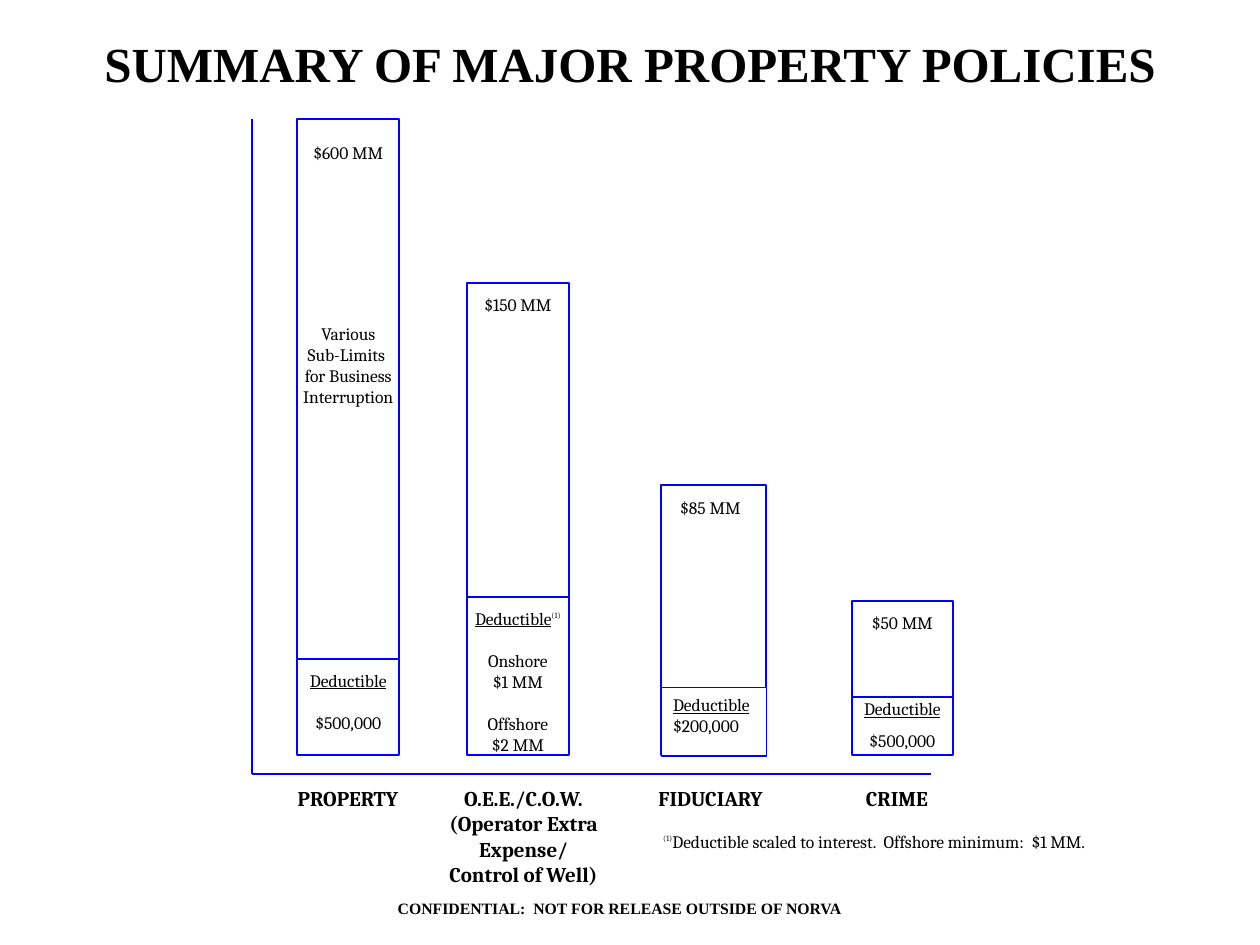
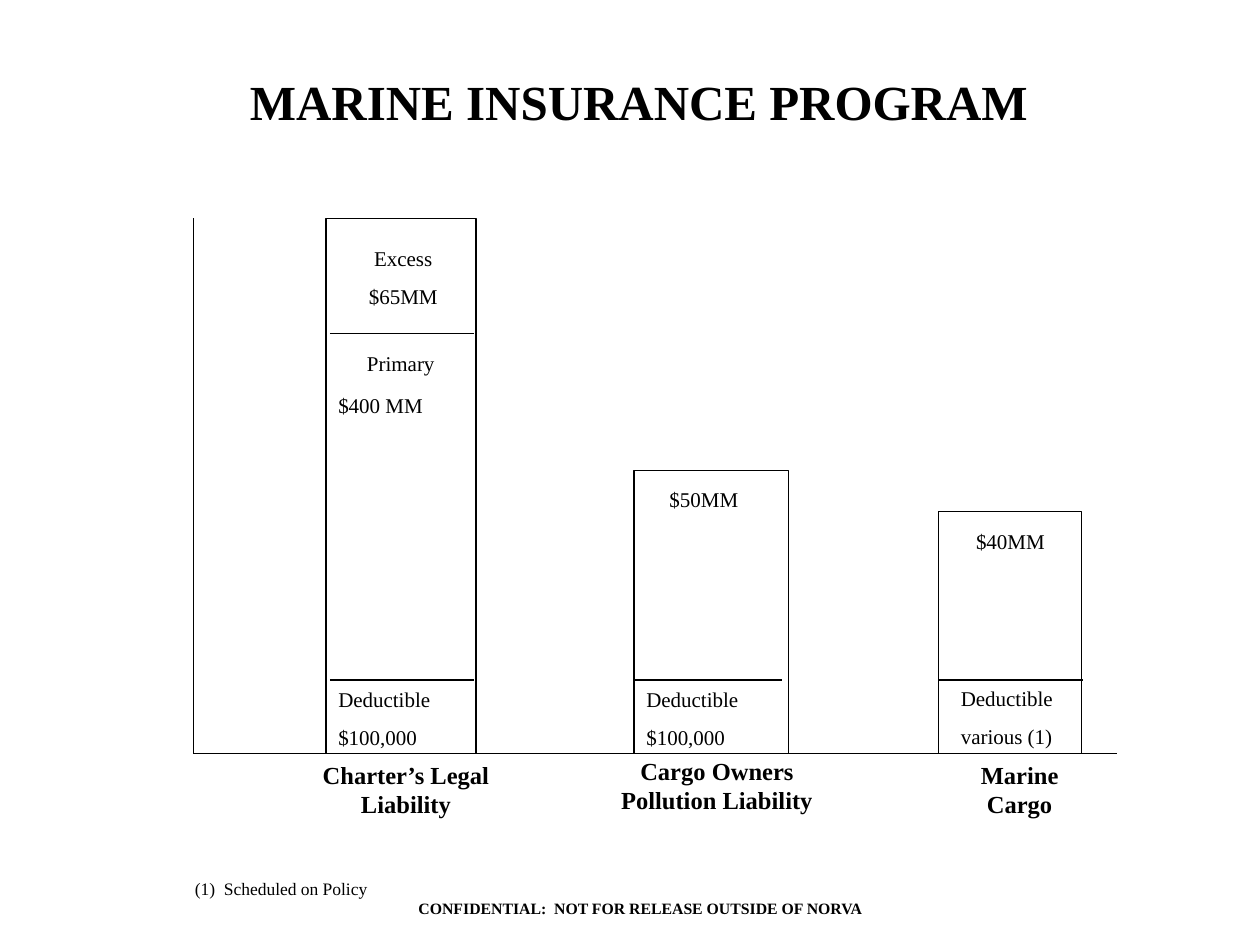
from lxml import etree
from pptx import Presentation
from pptx import util as u
from pptx.dml.color import RGBColor
from pptx.enum import shapes, text
from pptx.oxml import ns

COLORS = {"ink": "000000", "paper": "FFFFFF", "blue": "0000FF"}
SERIF, ROMAN = "Cambria", "Times New Roman"
LEFT, CENTER = text.PP_ALIGN.LEFT, text.PP_ALIGN.CENTER
FOOTER = "CONFIDENTIAL:  NOT FOR RELEASE OUTSIDE OF NORVA"


def write(slide, paragraphs, left, top, width, height=0.8, size=10, font=SERIF, bold=False,
          align=CENTER, anchor=text.MSO_ANCHOR.TOP, inset=(0.03, 0.03), gaps={},
          underline_first=False, superscript="\0"):
    frame = slide.shapes.add_textbox(*map(u.Cm, (left, top, width, height))).text_frame
    frame.word_wrap = True
    frame.vertical_anchor = anchor
    frame.margin_left = frame.margin_right = u.Cm(inset[0])
    frame.margin_top = frame.margin_bottom = u.Cm(inset[1])
    for index, content in enumerate(paragraphs):
        paragraph = frame.paragraphs[0] if index == 0 else frame.add_paragraph()
        paragraph.alignment = align
        paragraph.space_before = u.Pt(gaps.get(index, 0))
        for piece in filter(None, content.partition(superscript)):
            run = paragraph.add_run()
            run.text = piece
            run.font.name = font
            run.font.size = u.Pt(size)
            run.font.bold = bold
            run.font.color.rgb = RGBColor.from_string(COLORS["ink"])
            if piece == superscript:
                run.font.size = u.Pt(8)
                run.font._element.set("baseline", "50000")
            elif underline_first and index == 0:
                run.font.underline = True


def rule(slide, x1, y1, x2, y2, color, weight):
    line = slide.shapes.add_connector(shapes.MSO_CONNECTOR.STRAIGHT, *map(u.Cm, (x1, y1, x2, y2)))
    line.line.color.rgb = RGBColor.from_string(color)
    line.line.width = u.Pt(weight)
    etree.SubElement(line._element.spPr, ns.qn("a:effectLst"))


property_program = dict(
    title="SUMMARY OF MAJOR PROPERTY POLICIES", title_box=(0, 0, 25.4, 2.54),
    color=COLORS["blue"], weight=1, axis=(5.08, 2.39, 18.77, 15.6), footer_left=4.23,
    bars=[(5.99, 2.4, 2.06, 15.22, 1), (9.41, 5.7, 2.06, 15.22, 1),
          (13.32, 9.78, 2.13, 15.22, 1), (17.17, 12.12, 2.05, 15.22, 1),
          (13.33, 13.86, 2.13, 15.24, 0.75)],
    dividers=[(5.99, 8.05, 13.28), (9.42, 11.48, 12.04), (17.17, 19.23, 14.05)],
)
marine_program = dict(
    title="MARINE INSURANCE PROGRAM", title_box=(2.08, 0.08, 21.59, 3.91),
    color=COLORS["ink"], weight=0.75, axis=(3.9, 4.39, 22.52, 15.19), footer_left=4.65,
    bars=[(6.57, 4.4, 3.03, 15.19, 0.75), (12.78, 9.48, 3.11, 15.19, 0.75),
          (18.92, 10.31, 2.89, 15.19, 0.75)],
    dividers=[(6.65, 9.55, 6.72), (6.65, 9.55, 13.71), (12.78, 15.77, 13.71),
              (18.92, 21.84, 13.71)],
)

deck = Presentation()
deck.slide_width, deck.slide_height = u.Cm(25.4), u.Cm(19.05)
padded = dict(inset=(0.25, 0.13), font=ROMAN)
slides = []

for program in (property_program, marine_program):
    slide = deck.slides.add_slide(deck.slide_layouts[6])
    slides.append(slide)
    color, weight = program["color"], program["weight"]
    write(slide, [program["title"]], *program["title_box"], size=28, bold=True,
          anchor=text.MSO_ANCHOR.MIDDLE, **padded)
    for left, top, width, bottom, outline in program["bars"]:
        bar = slide.shapes.add_shape(shapes.MSO_SHAPE.RECTANGLE,
                                     *map(u.Cm, (left, top, width, bottom - top)))
        bar.shadow.inherit = False
        bar.fill.solid()
        bar.fill.fore_color.rgb = RGBColor.from_string(COLORS["paper"])
        bar.line.color.rgb = RGBColor.from_string(color)
        bar.line.width = u.Pt(outline)
    axis_x, axis_top, axis_right, axis_y = program["axis"]
    rule(slide, axis_x, axis_y, axis_x, axis_top, color, weight)
    rule(slide, axis_x, axis_y, axis_right, axis_y, color, weight)
    for start, end, y in program["dividers"]:
        rule(slide, start, y, end, y, color, weight)
    write(slide, [FOOTER], program["footer_left"], 17.98, 16.51, 0.64, size=9, bold=True, **padded)

policies, marine = slides

for limit, left, top in [("$600 MM", 5.99, 2.84), ("$150 MM", 9.41, 5.89),
                         ("$85 MM", 13.29, 9.98), ("$50 MM", 17.16, 12.31)]:
    write(policies, [limit], left, top, 2.06)

write(policies, ["Various", "Sub-Limits ", "for Business Interruption"], 5.99, 6.48, 2.06, 4.85)

for lines, left, top, options in [
    (["Deductible", "$500,000"], 5.99, 13.47, dict(gaps={1: 12})),
    (["Deductible(1)", "Onshore", "$1 MM", "Offshore", "$2 MM"], 9.41, 12.22,
     dict(gaps={1: 12, 3: 12}, superscript="(1)")),
    (["Deductible", "$200,000"], 13.32, 13.87, dict(align=LEFT, inset=(0.25, 0.13))),
    (["Deductible", "$500,000"], 17.16, 14.05, dict(gaps={1: 6})),
]:
    write(policies, lines, left, top, 2.06, 1.2, underline_first=True, **options)

for lines, left, width in [
    (["PROPERTY"], 5.76, 2.51),
    (["O.E.E./C.O.W.", "(Operator Extra Expense/", "Control of Well)"], 8.27, 4.57),
    (["FIDUCIARY"], 12.38, 3.89),
    (["CRIME"], 16.71, 2.74),
]:
    write(policies, lines, left, 15.81, width, size=12, bold=True)

write(policies, ["(1)Deductible scaled to interest.  Offshore minimum:  $1 MM."],
      13.34, 16.73, 11.5, 0.61, align=LEFT, superscript="(1)")

for lines, left, top, width, align in [
    (["Excess", "$65MM"], 6.58, 4.83, 3.1, CENTER),
    (["Primary"], 6.81, 6.93, 2.54, CENTER),
    (["$400 MM"], 6.57, 7.78, 3.38, LEFT),
    (["$50MM"], 12.78, 9.68, 2.82, CENTER),
    (["$40MM"], 18.92, 10.52, 2.9, CENTER),
    (["Deductible", "$100,000"], 6.57, 13.72, 3.38, LEFT),
    (["Deductible", "$100,000"], 12.78, 13.72, 3.38, LEFT),
    (["Deductible", "various (1)"], 19.12, 13.69, 3.66, LEFT),
]:
    write(marine, lines, left, top, width, size=12, align=align, gaps={1: 7.2}, **padded)

for label, left, top, width in [("Charter’s Legal Liability", 5.86, 15.19, 4.65),
                                ("Cargo Owners Pollution Liability", 12.23, 15.11, 4.45),
                                ("Marine Cargo", 18.93, 15.19, 3.25)]:
    write(marine, [label], left, top, width, 1.45, size=14, bold=True, **padded)

write(marine, ["(1)  Scheduled on Policy"], 3.68, 17.57, 7.19, 0.69, align=LEFT, **padded)

deck.save("out.pptx")
